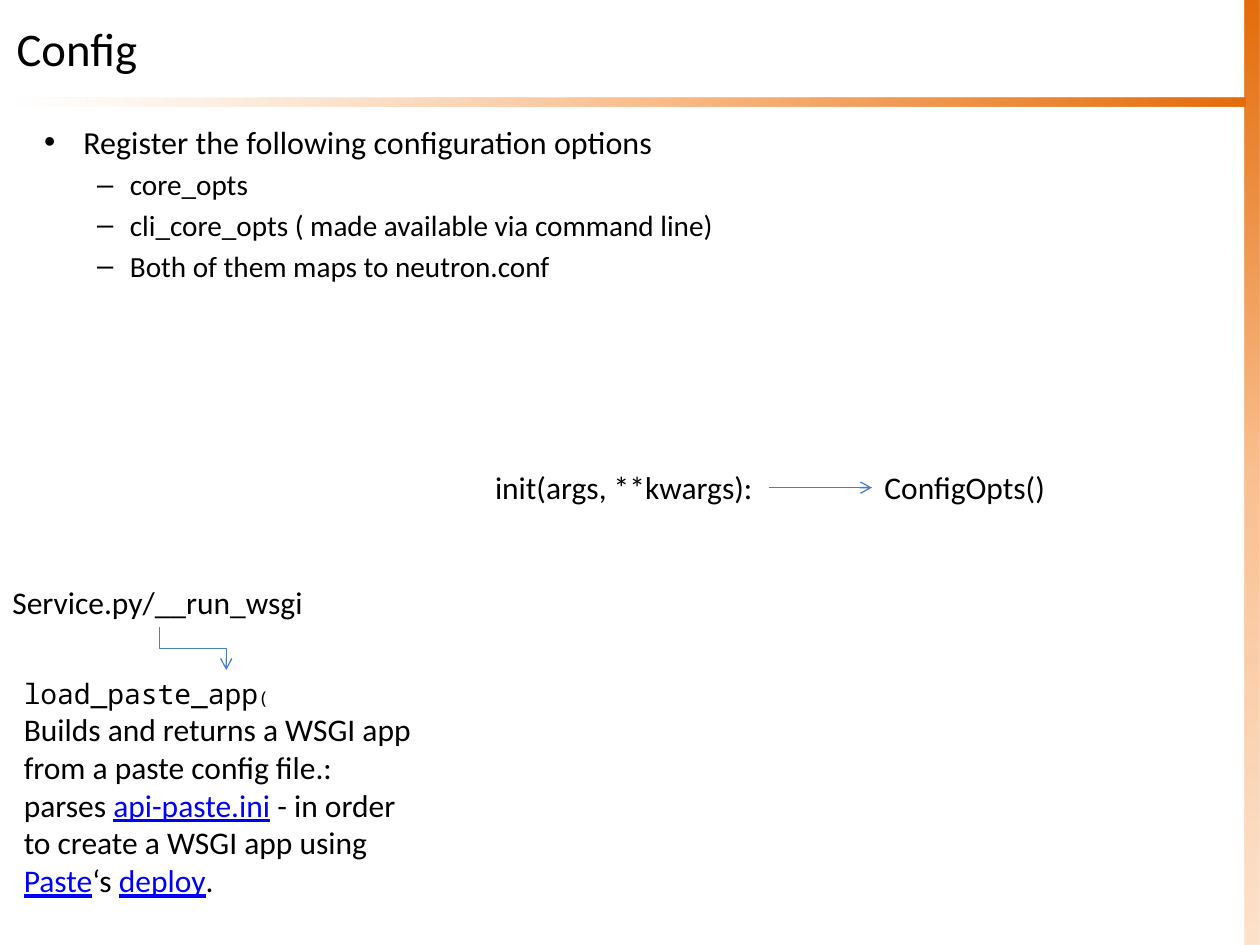
from lxml.etree import SubElement
from pptx import Presentation
from pptx.dml.color import RGBColor
from pptx.enum.shapes import MSO_CONNECTOR as Link, MSO_SHAPE as Shape
from pptx.enum.text import MSO_ANCHOR as Anchor, MSO_AUTO_SIZE as Fit, PP_ALIGN as Align
from pptx.oxml.ns import qn
from pptx.util import Cm, Pt

COLORS = {"text": "000000", "link": "0000FF", "arrow": "4B7EBC",
          "dark": "E46C0A", "mid": "FAC090", "pale": "FCD5B5"}

TITLE = "Config"
OPTIONS = [
    (0, "Register the following configuration options"),
    (1, "core_opts"),
    (1, "cli_core_opts ( made available via command line)"),
    (1, "Both of them maps to neutron.conf"),
]
LEVELS = [("•", 0.79, -0.79, 18.3), ("–", 1.73, -0.66, 16.7)]
CALLS = {
    "init": ("init(args, **kwargs):", 9.73, 9.32, 5.77),
    "options": ("ConfigOpts()", 17.58, 9.32, 3.78),
    "service": ("Service.py/__run_wsgi", 0, 11.63, 6.43),
}
CALL_HEIGHT = 1.02
LOADER = (0.23, 13.51, 8.66, 4.75)
LOADER_CALL = [("load_paste_app", "Noto Sans Mono", 16), ("(", "Noto Sans Mono", 10)]
LOADER_NOTES = [
    [("Builds and returns a WSGI app from a paste config file.:", False)],
    [("parses ", False), ("api-paste.ini", True),
     (" - in order to create a WSGI app using ", False),
     ("Paste", True), ("‘s ", False), ("deploy", True), (".", False)],
]
BARS = [((25.1, 0, 0.3, 19.05), 0, 90, 69), ((0.3, 1.96, 24.8, 0.18), 180, 0, 0)]


def rgb(name):
    return RGBColor.from_string(COLORS[name])


def style(font, size, face="Calibri", color="text"):
    font.name, font.size = face, Pt(size)
    font.color.rgb = rgb(color)


def add_bar(slide, place, rotation, angle, pale_alpha):
    bar = slide.shapes.add_shape(Shape.RECTANGLE, *map(Cm, place))
    bar.shadow.inherit = False
    bar.line.fill.background()
    bar.rotation = rotation
    bar.fill.gradient()
    bar.fill.gradient_angle = 360 - angle if angle else 0
    stops = bar._element.spPr.find(".//" + qn("a:gsLst"))
    for stop in list(stops):
        stops.remove(stop)
    for position, name, alpha in ((0, "dark", 100), (50, "mid", 100), (100, "pale", pale_alpha)):
        stop = SubElement(stops, qn("a:gs"), pos=str(position * 1000))
        color = SubElement(stop, qn("a:srgbClr"), val=COLORS[name])
        if alpha < 100:
            SubElement(color, qn("a:alpha"), val=str(alpha * 1000))


def add_text(slide, place, wrap=True):
    frame_box = slide.shapes.add_textbox(*map(Cm, place))
    frame_box.text_frame.word_wrap = wrap
    return frame_box


def add_arrow(slide, kind, start, end):
    arrow = slide.shapes.add_connector(kind, *map(Cm, start + end))
    arrow.line.color.rgb = rgb("arrow")
    arrow.line.width = Pt(0.75)
    SubElement(arrow.line._get_or_add_ln(), qn("a:tailEnd"), type="arrow")
    SubElement(arrow._element.spPr, qn("a:effectLst"))
    return arrow


def add_options(slide):
    frame = add_text(slide, (0.64, 2.34, 22.86, 8)).text_frame
    for index, (level, option) in enumerate(OPTIONS):
        line = frame.add_paragraph() if index else frame.paragraphs[0]
        bullet, margin, indent, size = LEVELS[level]
        line.text, line.level = option, level
        props = line._p.get_or_add_pPr()
        props.set("marL", str(Cm(margin)))
        props.set("indent", str(Cm(indent)))
        if index:
            line.space_before = Pt(size * 0.2)
        SubElement(props, qn("a:buFont"), typeface="Arial")
        SubElement(props, qn("a:buChar"), char=bullet)
        style(line.font, size)


def add_loader(slide):
    frame = add_text(slide, LOADER).text_frame
    for words, face, size in LOADER_CALL:
        run = frame.paragraphs[0].add_run()
        run.text = words
        style(run.font, size, face)
    for note in LOADER_NOTES:
        line = frame.add_paragraph()
        style(line.font, 18)
        for words, linked in note:
            run = line.add_run()
            run.text = words
            if linked:
                run.font.underline = True
                run.font.color.rgb = rgb("link")


def add_calls(slide):
    boxes = {}
    for key, (words, left, top, width) in CALLS.items():
        box = add_text(slide, (left, top, width, CALL_HEIGHT), wrap=False)
        box.text_frame.auto_size = Fit.SHAPE_TO_FIT_TEXT
        line = box.text_frame.paragraphs[0]
        line.text = words
        style(line.font, 18)
        boxes[key] = box
    return boxes


def add_flow(slide, boxes):
    straight = add_arrow(slide, Link.STRAIGHT, (0, 0), (1, 1))
    straight.begin_connect(boxes["init"], 3)
    straight.end_connect(boxes["options"], 1)

    _, left, top, width = CALLS["service"]
    start_x, start_y = left + width / 2, top + CALL_HEIGHT
    end_x, end_y = LOADER[0] + LOADER[2] / 2, LOADER[1]
    center_x, center_y = (start_x + end_x) / 2, (start_y + end_y) / 2
    half_run, half_drop = (end_x - start_x) / 2, (end_y - start_y) / 2
    bent = add_arrow(slide, Link.ELBOW, (center_x + half_drop, center_y - half_run),
                     (center_x - half_drop, center_y + half_run))
    bent._element.spPr.find(qn("a:xfrm")).set("rot", str(270 * 60000))


def main():
    deck = Presentation()
    deck.slide_width, deck.slide_height = Cm(25.4), Cm(19.05)
    slide = deck.slides.add_slide(deck.slide_layouts[5])

    for bar in BARS:
        add_bar(slide, *bar)

    title = slide.shapes.title
    title.left, title.top, title.width, title.height = map(Cm, (0.08, 0.1, 24.89, 1.73))
    title.text_frame.text = TITLE
    title.text_frame.vertical_anchor = Anchor.MIDDLE
    heading = title.text_frame.paragraphs[0]
    heading.alignment = Align.LEFT
    style(heading.font, 26.7)

    add_options(slide)
    boxes = add_calls(slide)
    add_loader(slide)
    add_flow(slide, boxes)
    deck.save("out.pptx")


if __name__ == "__main__":
    main()
